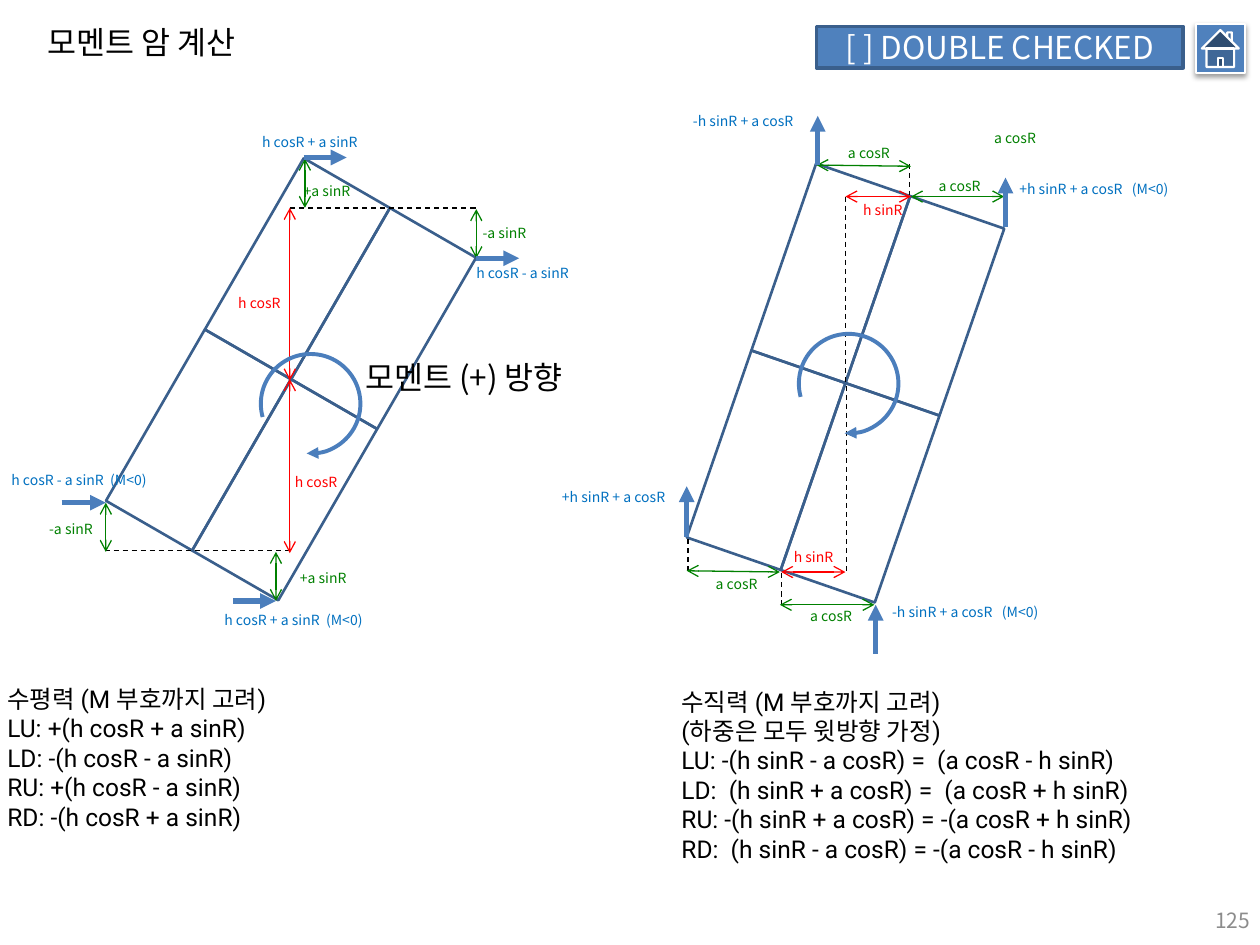
from math import cos, radians, sin

from lxml.etree import SubElement
from pptx import Presentation
from pptx.dml.color import RGBColor
from pptx.enum.dml import MSO_LINE
from pptx.enum.shapes import MSO_CONNECTOR, MSO_SHAPE
from pptx.enum.text import MSO_ANCHOR as ANCHOR, MSO_AUTO_SIZE as AUTO, PP_ALIGN as ALIGN
from pptx.oxml.ns import qn
from pptx.util import Inches, Pt

BLACK = RGBColor(0x00, 0x00, 0x00)
WHITE = RGBColor(0xFF, 0xFF, 0xFF)
GRAY = RGBColor(0x8C, 0x8C, 0x8C)
RED = RGBColor(0xFF, 0x00, 0x00)
GREEN = RGBColor(0x00, 0x80, 0x00)
LABEL_BLUE = RGBColor(0x00, 0x70, 0xC0)
FORCE_BLUE = RGBColor(0x4B, 0x7E, 0xBC)
FILL_BLUE = RGBColor(0x4F, 0x81, 0xBD)
EDGE_BLUE = RGBColor(0x3A, 0x5F, 0x8C)
KOREAN = "Noto Sans CJK KR"
LATIN = "Roboto"


def write(shape, text, size=18, color=BLACK, font=KOREAN, align=ALIGN.LEFT,
          anchor=ANCHOR.TOP, wrap=False, inset=(0.1, 0.05)):
    frame = shape.text_frame
    frame.text = text
    frame.word_wrap = wrap
    frame.auto_size = AUTO.NONE if wrap else AUTO.SHAPE_TO_FIT_TEXT
    frame.vertical_anchor = anchor
    frame.margin_left = frame.margin_right = Inches(inset[0])
    frame.margin_top = frame.margin_bottom = Inches(inset[1])
    for paragraph in frame.paragraphs:
        paragraph.alignment = align
        for run in paragraph.runs:
            run.font.size = Pt(size)
            run.font.name = font
            run.font.color.rgb = color
            SubElement(run.font._element, qn("a:ea"), typeface=KOREAN)


def draw_line(x1, y1, x2, y2, color, width=0.75, dash=None, head=None, tail=None):
    connector = slide.shapes.add_connector(
        MSO_CONNECTOR.STRAIGHT, Inches(x1), Inches(y1), Inches(x2), Inches(y2))
    connector.line.color.rgb = color
    connector.line.width = Pt(width)
    if dash:
        connector.line.dash_style = dash
    for tag, end in (("a:headEnd", head), ("a:tailEnd", tail)):
        if end:
            SubElement(connector.line._get_or_add_ln(), qn(tag), type=end)
    SubElement(connector._element.spPr, qn("a:effectLst"))


prs = Presentation()
prs.slide_width, prs.slide_height = Inches(10), Inches(7.5)
slide = prs.slides.add_slide(prs.slide_layouts[5])

title = slide.shapes.title
title.left, title.top, title.width, title.height = map(Inches, (0.28, 0.13, 1.9, 0.4))
write(title, "모멘트 암 계산")

page_number = slide.shapes.add_textbox(Inches(7.69), Inches(7.1), Inches(2.33), Inches(0.4))
write(page_number, "125", size=12, color=GRAY, align=ALIGN.RIGHT, anchor=ANCHOR.MIDDLE, wrap=True)

check_banner = slide.shapes.add_shape(
    MSO_SHAPE.RECTANGLE, Inches(6.48), Inches(0.21), Inches(2.91), Inches(0.33))
check_banner.shadow.inherit = False
check_banner.fill.solid()
check_banner.fill.fore_color.rgb = FILL_BLUE
check_banner.line.color.rgb = EDGE_BLUE
check_banner.line.width = Pt(2)
write(check_banner, "[ ] DOUBLE CHECKED", color=WHITE, align=ALIGN.CENTER,
      anchor=ANCHOR.MIDDLE, wrap=True)

home_button = slide.shapes.add_shape(
    MSO_SHAPE.ACTION_BUTTON_HOME, Inches(9.49), Inches(0.19), Inches(0.39), Inches(0.39))
home_button.shadow.inherit = False
home_button.fill.solid()
home_button.fill.fore_color.rgb = FILL_BLUE
home_button.line.color.rgb = WHITE
home_button.line.width = Pt(1.25)
effects = home_button._element.spPr.find(qn("a:effectLst"))
shadow = SubElement(effects, qn("a:outerShdw"), blurRad=str(Pt(3.1)), dist=str(Pt(1.6)),
                    dir="5400000", rotWithShape="0")
shadow_color = SubElement(shadow, qn("a:srgbClr"), val="000000")
SubElement(shadow_color, qn("a:alpha"), val="38000")

CELL_W, CELL_H = 0.79, 1.57
for center_x, center_y, angle in ((2.31, 3.01, 30), (6.71, 3.04, 19.1)):
    cosine, sine = cos(radians(angle)), sin(radians(angle))
    for side in (1, -1):
        for end in (-1, 1):
            across, along = side * CELL_W / 2, end * CELL_H / 2
            x = center_x + across * cosine - along * sine
            y = center_y + across * sine + along * cosine
            cell = slide.shapes.add_shape(
                MSO_SHAPE.RECTANGLE, Inches(x - CELL_W / 2), Inches(y - CELL_H / 2),
                Inches(CELL_W), Inches(CELL_H))
            cell.rotation = angle
            cell.shadow.inherit = False
            cell.fill.background()
            cell.line.color.rgb = EDGE_BLUE
            cell.line.width = Pt(1.5)

guides = (
    (0.83, 4.37, 2.3, 4.37), (2.3, 1.65, 3.78, 1.65),
    (6.72, 3.06, 6.72, 4.54), (6.71, 1.56, 6.71, 3.04),
    (6.2, 4.55, 6.2, 4.79), (5.46, 4.28, 5.46, 4.53), (7.22, 1.3, 7.22, 1.55),
)
for guide in guides:
    draw_line(*guide, BLACK, dash=MSO_LINE.DASH)

h_arms = (
    (2.3, 1.65, 2.3, 3.02), (2.3, 3.01, 2.3, 4.39),
    (6.2, 4.54, 6.71, 4.54), (6.71, 1.56, 7.23, 1.56),
)
a_arms = (
    (2.19, 4.77, 2.19, 4.38), (0.84, 4.38, 0.84, 3.99),
    (2.42, 1.65, 2.42, 1.26), (3.78, 2.05, 3.78, 1.66),
    (6.19, 4.8, 6.94, 4.8), (5.45, 4.53, 6.19, 4.54),
    (6.48, 1.31, 7.23, 1.32), (7.23, 1.56, 7.97, 1.56),
)
for arms, color in ((h_arms, RED), (a_arms, GREEN)):
    for arm in arms:
        draw_line(*arm, color, head="arrow", tail="arrow")

forces = (
    (1.85, 4.77, 2.19, 4.77), (0.49, 3.99, 0.84, 3.99),
    (2.41, 1.25, 2.75, 1.25), (3.78, 2.05, 4.12, 2.05),
    (6.95, 5.19, 6.95, 4.8), (5.45, 4.26, 5.45, 3.86),
    (7.98, 1.8, 7.98, 1.41), (6.49, 1.31, 6.49, 0.92),
)
for force in forces:
    draw_line(*force, FORCE_BLUE, width=3, tail="triangle")

labels = (
    ("h cosR", RED, 0.42, ((2.3, 3.76), (1.85, 2.34))),
    ("h sinR", RED, 0.4, ((6.26, 4.35), (6.81, 1.6))),
    ("+a sinR", GREEN, 0.47, ((2.34, 4.52), (2.37, 1.45))),
    ("-a sinR", GREEN, 0.43, ((0.35, 4.13), (3.79, 1.78))),
    ("a cosR", GREEN, 0.44,
     ((6.39, 4.82), (5.64, 4.57), (6.69, 1.15), (7.85, 1.03), (7.41, 1.41))),
    ("h cosR + a sinR", LABEL_BLUE, 0.89, ((2.04, 1.06),)),
    ("h cosR - a sinR", LABEL_BLUE, 0.86, ((3.74, 2.1),)),
    ("h cosR + a sinR  (M<0)", LABEL_BLUE, 1.28, ((1.74, 4.85),)),
    ("h cosR - a sinR  (M<0)", LABEL_BLUE, 1.25, ((0.05, 3.74),)),
    ("-h sinR + a cosR", LABEL_BLUE, 0.94, ((5.46, 0.89),)),
    ("+h sinR + a cosR", LABEL_BLUE, 0.97, ((4.42, 3.88),)),
    ("-h sinR + a cosR   (M<0)", LABEL_BLUE, 1.37, ((7.04, 4.79),)),
    ("+h sinR + a cosR   (M<0)", LABEL_BLUE, 1.4, ((8.05, 1.43),)),
)
for text, color, width, places in labels:
    for x, y in places:
        label = slide.shapes.add_textbox(Inches(x), Inches(y), Inches(width), Inches(0.13))
        write(label, text, size=8, color=color, inset=(0.04, 0))

for x, y in ((6.34, 2.65), (2.07, 2.81)):
    moment = slide.shapes.add_shape(MSO_SHAPE.ARC, Inches(x), Inches(y), Inches(0.79), Inches(0.79))
    moment.adjustments[0], moment.adjustments[1] = 98.76, 56.73
    moment.shadow.inherit = False
    moment.fill.background()
    moment.line.color.rgb = FORCE_BLUE
    moment.line.width = Pt(2.25)
    SubElement(moment.line._get_or_add_ln(), qn("a:tailEnd"), type="triangle")

direction = slide.shapes.add_textbox(Inches(2.8), Inches(2.79), Inches(1.97), Inches(0.4))
write(direction, "모멘트 (+) 방향")

horizontal_rules = (
    "수평력 (M 부호까지 고려)",
    "LU: +(h cosR + a sinR)",
    "LD: -(h cosR - a sinR)",
    "RU: +(h cosR - a sinR)",
    "RD: -(h cosR + a sinR)",
)
vertical_rules = (
    "수직력 (M 부호까지 고려)",
    "(하중은 모두 윗방향 가정)",
    "LU: -(h sinR - a cosR) =  (a cosR - h sinR)",
    "LD:  (h sinR + a cosR) =  (a cosR + h sinR)",
    "RU: -(h sinR + a cosR) = -(a cosR + h sinR)",
    "RD:  (h sinR - a cosR) = -(a cosR - h sinR)",
)
for rules, x, y, width, height in ((horizontal_rules, -0.04, 5.38, 2.56, 1.28),
                                   (vertical_rules, 5.31, 5.4, 4.52, 1.51)):
    summary = slide.shapes.add_textbox(Inches(x), Inches(y), Inches(width), Inches(height))
    write(summary, "\n".join(rules), size=14, font=LATIN)

prs.save("out.pptx")
